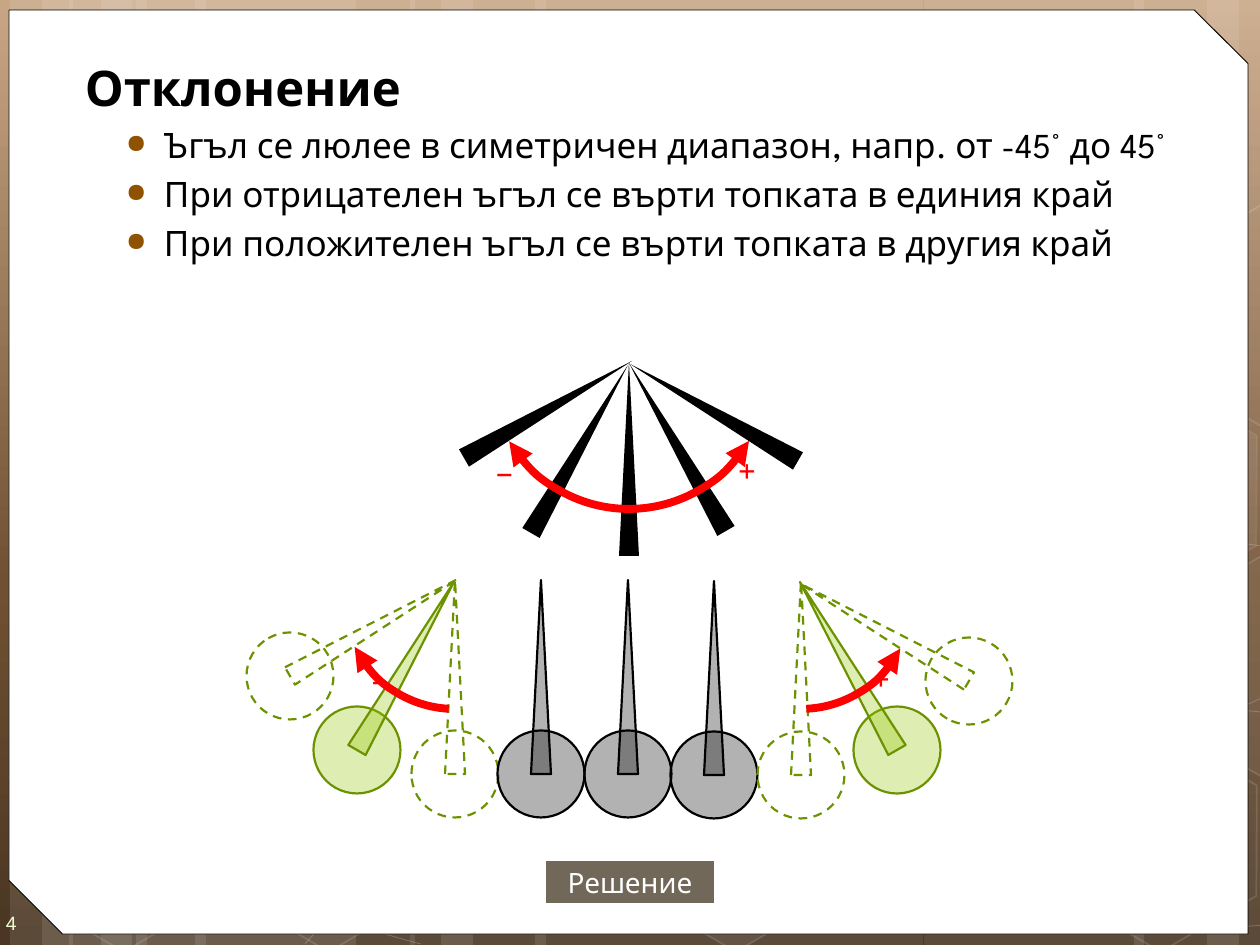
from copy import deepcopy
from math import cos, radians, sin

from lxml import etree
from pptx import Presentation
from pptx.dml.color import RGBColor
from pptx.enum.dml import MSO_LINE
from pptx.enum.shapes import MSO_SHAPE
from pptx.enum.text import MSO_ANCHOR, PP_ALIGN
from pptx.oxml.ns import qn
from pptx.util import Emu, Pt

RECT, OVAL = MSO_SHAPE.RECTANGLE, MSO_SHAPE.OVAL
WEDGE, ARC = MSO_SHAPE.ISOSCELES_TRIANGLE, MSO_SHAPE.ARC
HEX, PANEL = MSO_SHAPE.HEXAGON, MSO_SHAPE.SNIP_2_DIAG_RECTANGLE
DASH = MSO_LINE.DASH
LEFT, MID = PP_ALIGN.LEFT, PP_ALIGN.CENTER
TOP, CENTER = MSO_ANCHOR.TOP, MSO_ANCHOR.MIDDLE

SCALE = 914400 / 126
WIDE, HIGH = 1260, 945
FONT = "League Spartan"
COLORS = {
    "white": "FFFFFF", "black": "000000", "red": "FF0000",
    "lime": "94C600", "green": "6D9200", "bullet": "8F5201",
    "button": "71685A", "page": "EEFFD6",
    "sand": "C8A685", "brown": "705032", "dark": "4A3622",
}


def emu(px):
    """Turn pixels into EMU."""
    return Emu(round(px * SCALE))


def rgb(name):
    """Look up a named colour."""
    return RGBColor.from_string(COLORS[name])


def node(parent, tag, **attrs):
    """Append a drawing element with its attributes."""
    item = etree.SubElement(parent, qn(tag))
    for key, value in attrs.items():
        item.set(key, str(value))
    return item


def tint(fill, name, alpha):
    """Make a solid fill with an opacity in percent."""
    fill.solid()
    fill.fore_color.rgb = rgb(name)
    if alpha < 100:
        solid = fill._xPr.find(qn("a:solidFill"))
        node(solid[0], "a:alpha", val=alpha * 1000)


def spin(dots, hub, turn):
    """Turn dots clockwise about a hub."""
    c, s = cos(radians(turn)), sin(radians(turn))
    x, y = hub
    return [(x + (a - x) * c - (b - y) * s, y + (a - x) * s + (b - y) * c)
            for a, b in dots]


class Deck:
    """Holds the style and the current slide."""

    def __init__(self):
        """Start a file with one blank slide."""
        self.file = Presentation()
        self.file.slide_width, self.file.slide_height = emu(WIDE), emu(HIGH)
        self.slide = self.file.slides.add_slide(self.file.slide_layouts[6])
        self.shapes = self.slide.shapes

    def back(self, stops):
        """Fill the background with a gradient from top to bottom."""
        fill = self.slide.background.fill
        fill.gradient()
        fill.gradient_angle = 270
        row = self.slide.element.find(".//" + qn("a:gsLst"))
        row.append(deepcopy(row[-1]))
        for (place, name), stop, item in zip(stops, fill.gradient_stops, row):
            stop.color.rgb = rgb(name)
            item.set("pos", str(place * 1000))

    def paint(self, shape, fill, line):
        """Set fill (name, alpha) and line (name, width, alpha, dash)."""
        shape.shadow.inherit = False
        if fill:
            tint(shape.fill, *fill)
        else:
            shape.fill.background()
        if line:
            name, width, alpha, dash = line
            tint(shape.line.fill, name, alpha)
            shape.line.width = Pt(width)
            if dash:
                shape.line.dash_style = dash
        else:
            shape.line.fill.background()
        return shape

    def shape(self, kind, box, fill=None, line=None, turn=0, adj=()):
        """Add a preset shape."""
        item = self.shapes.add_shape(kind, *map(emu, box))
        item.rotation = turn % 360
        for k, value in enumerate(adj):
            item.adjustments[k] = value
        return self.paint(item, fill, line)

    def free(self, dots, fill, line, close):
        """Add an outline through the given dots."""
        ends = [tuple(map(emu, dot)) for dot in dots]
        pen = self.shapes.build_freeform(*ends[0])
        pen.add_line_segments(ends[1:], close=close)
        return self.paint(pen.convert_to_shape(), fill, line)

    def curve(self, dots, line):
        """Add a chain of cubic curves, three dots to each."""
        item = self.free(dots, None, line, False)
        legs = item._element.findall(".//" + qn("a:lnTo"))
        trace = legs[0].getparent()
        for k in range(0, len(legs), 3):
            bow = node(trace, "a:cubicBezTo")
            for leg in legs[k:k + 3]:
                bow.append(leg[0])
                trace.remove(leg)

    def arc(self, box, adj, ends):
        """Add a red arc with arrowheads."""
        item = self.shape(ARC, box, None, ("red", 4.5, 100, None), adj=adj)
        for end in ends:
            node(item.line._get_or_add_ln(), "a:" + end, type="triangle")

    def frame(self, item, pad, anchor):
        """Prepare a text frame."""
        frame = item.text_frame
        frame.word_wrap = True
        frame.vertical_anchor = anchor
        (frame.margin_left, frame.margin_top,
         frame.margin_right, frame.margin_bottom) = map(emu, pad)
        return frame

    def run(self, para, text, size, name, bold=False, font=FONT):
        """Add one run."""
        run = para.add_run()
        run.text = text
        run.font.size, run.font.bold, run.font.name = Pt(size), bold, font
        run.font.color.rgb = rgb(name)

    def label(self, item, text, size, name, pad=(0, 6, 0, 6), align=MID,
              font=FONT):
        """Write one line in a shape."""
        para = self.frame(item, pad, CENTER).paragraphs[0]
        para.alignment = align
        self.run(para, text, size, name, font=font)

    def text(self, box):
        """Add an empty text box."""
        return self.shapes.add_textbox(*map(emu, box))

    def space(self, para):
        """Left-align a paragraph, space it and return its properties."""
        para.alignment = LEFT
        prop = para._p.get_or_add_pPr()
        node(node(prop, "a:spcBef"), "a:spcPct", val=20000)
        return prop

    def signs(self, box, pad, stop):
        """Write minus and plus, parted by a tab stop."""
        frame = self.frame(self.text(box), (pad, 6, 13, 6), TOP)
        para = frame.paragraphs[0]
        tabs = node(self.space(para), "a:tabLst")
        node(tabs, "a:tab", pos=emu(stop), algn="l")
        self.run(para, "–\t+", 20, "red")

    def body(self, box, title, points):
        """Add the heading and its bullets."""
        frame = self.frame(self.text(box), (13, 6, 13, 6), TOP)
        for k, words in enumerate([title] + points):
            para = frame.add_paragraph() if k else frame.paragraphs[0]
            prop = self.space(para)
            prop.set("marL", str(emu(88 if k else 9)))
            prop.set("indent", str(emu(-38 if k else 0)))
            if k:
                para.level = 1
                color = node(prop, "a:buClr")
                node(color, "a:srgbClr", val=COLORS["bullet"])
                node(prop, "a:buSzPct", val=75000)
                node(prop, "a:buChar", char="●")
            self.run(para, words, 20 if k else 28, "black", bold=not k)

    def rod(self, x, y, turn, fill, line=None, ball=True):
        """Hang a rod, with or without a ball, from a pivot."""
        dx, dy = -sin(radians(turn)), cos(radians(turn))
        if ball:
            box = (x + 194 * dx - 43.5, y + 194 * dy - 43.5, 87, 87)
            self.shape(OVAL, box, fill, line, turn)
        box = (x + 97 * dx - 10, y + 97 * dy - 97, 20, 194)
        self.shape(WEDGE, box, fill, line, turn)


deck = Deck()
deck.back([(0, "sand"), (62, "brown"), (100, "dark")])

STRIPES = [(136, 220), (10, 63), (42, 105), (195, 220), (69, 63), (101, 105),
           (924, 220), (1207, 63), (1134, 105), (535, 388), (410, 63),
           (441, 105)]
for x, w in STRIPES:
    deck.shape(RECT, (x, 0, w, HIGH), ("white", 10))

WAVES = [
    [(9, 848), (77, 852), (145, 856), (239, 854), (334, 853), (451, 851),
     (577, 838), (703, 825), (882, 801), (998, 777), (1113, 753),
     (1231, 716), (1269, 694)],
    [(9, 601), (45, 581), (82, 562), (152, 543), (224, 524), (326, 496),
     (437, 488), (549, 479), (685, 478), (824, 488), (963, 498),
     (1193, 537), (1269, 547)],
    [(8, 777), (160, 847), (311, 916), (421, 944)],
    [(9, 728), (48, 742), (88, 756), (161, 776), (234, 795), (344, 827),
     (450, 848), (554, 869), (687, 892), (791, 905), (896, 919),
     (1008, 924), (1075, 927), (1140, 932), (1158, 930), (1191, 930),
     (1223, 929), (1246, 926), (1269, 925)],
    [(305, 944), (328, 918), (350, 893), (381, 871), (411, 848), (454, 823),
     (489, 805), (523, 788), (546, 780), (592, 767), (638, 755), (722, 737),
     (766, 728), (811, 719), (818, 719), (857, 717), (896, 713), (958, 709),
     (1000, 708), (1045, 707), (1116, 708), (1116, 708), (1144, 708),
     (1173, 708), (1201, 708), (1223, 709), (1245, 710), (1268, 713)],
]
for wave in WAVES:
    deck.curve(wave, ("white", 0.5, 20, None))

# left edge, row, fill opacity, line opacity
CELLS = [(423, 2, 10, 12), (523, 3, 0, 12), (524, 1, 7, 8), (421, 0, 4, 8),
         (626, 4, 6, 12), (14, 4, 0, 12), (18, 2, 7, 8), (117, 3, 0, 12),
         (219, 4, 0, 12), (222, 2, 7, 8), (121, 1, 0, 12), (949, 3, 10, 12),
         (1051, 4, 0, 12), (1051, 2, 7, 8)]
for x, row, alpha, edge in CELLS:
    deck.shape(HEX, (x, 45 + 175 * row, 220, 192),
               ("white", alpha) if alpha else None,
               ("white", 1, edge, None), 30, (0.285, 1.155))

# fill opacity, hub, outline
PARTS = [
    (10, (45, 674), [(10, 561), (24, 552), (121, 607), (120, 718),
                     (25, 774), (10, 765)]),
    (4, (1241, 655), [(1167, 611), (1261, 556), (1271, 562), (1271, 772),
                      (1263, 777), (1167, 722)]),
    (0, (1241, 304), [(1167, 261), (1261, 205), (1273, 212), (1271, 422),
                      (1263, 427), (1167, 372)]),
]
for alpha, hub, dots in PARTS:
    part = deck.free(spin(dots, hub, -30), ("white", alpha) if alpha else None,
                     ("white", 1, 12, None), True)
    part.rotation = 30

deck.shape(PANEL, (9, 10, 1239, 924), ("white", 100),
           ("black", 0.5, 100, None), adj=(0, 0.058))
deck.label(deck.text((0, 895, 73, 50)), "4", 11, "page", (6, 19, 0, 13),
           LEFT, "Arial")
deck.body((63, 52, 1187, 883), "Отклонение", [
    "Ъгъл се люлее в симетричен диапазон, напр. от -45° до 45°",
    "При отрицателен ъгъл се върти топката в единия край",
    "При положителен ъгъл се върти топката в другия край",
])
button = deck.shape(RECT, (546, 861, 168, 42), ("button", 100))
deck.label(button, "Решение", 16, "white")

GRAY = (("black", 30), ("black", 1.25, 100, None))
LIME = (("lime", 30), ("green", 1.25, 100, None))
GHOST = (None, ("green", 1.25, 100, DASH))
RODS = [(628, 580, 0, GRAY), (455, 580, 0, GHOST), (541, 580, 0, GRAY),
        (714, 581, 0, GRAY), (800, 582, -30, LIME), (454, 582, 30, LIME),
        (801, 581, 0, GHOST), (458, 579, 60, GHOST), (801, 584, -60, GHOST)]
for x, y, turn, style in RODS:
    deck.rod(x, y, turn, *style)
for x, y, turn in [(629, 362, 0), (629, 363, -30), (628, 365, 30),
                   (632, 361, 60), (630, 364, -60)]:
    deck.rod(x, y, turn, ("black", 100), ball=False)

deck.arc((489, 229, 280, 280), (18.569, 89.309), ("headEnd", "tailEnd"))
deck.signs((401, 442, 447, 55), 96, 241)
deck.signs((315, 650, 629, 55), 58, 499)
deck.arc((689, 485, 224, 224), (16.489, 52.356), ("headEnd",))
deck.arc((343, 485, 224, 224), (55.91, 92.111), ("tailEnd",))

deck.file.save("out.pptx")
